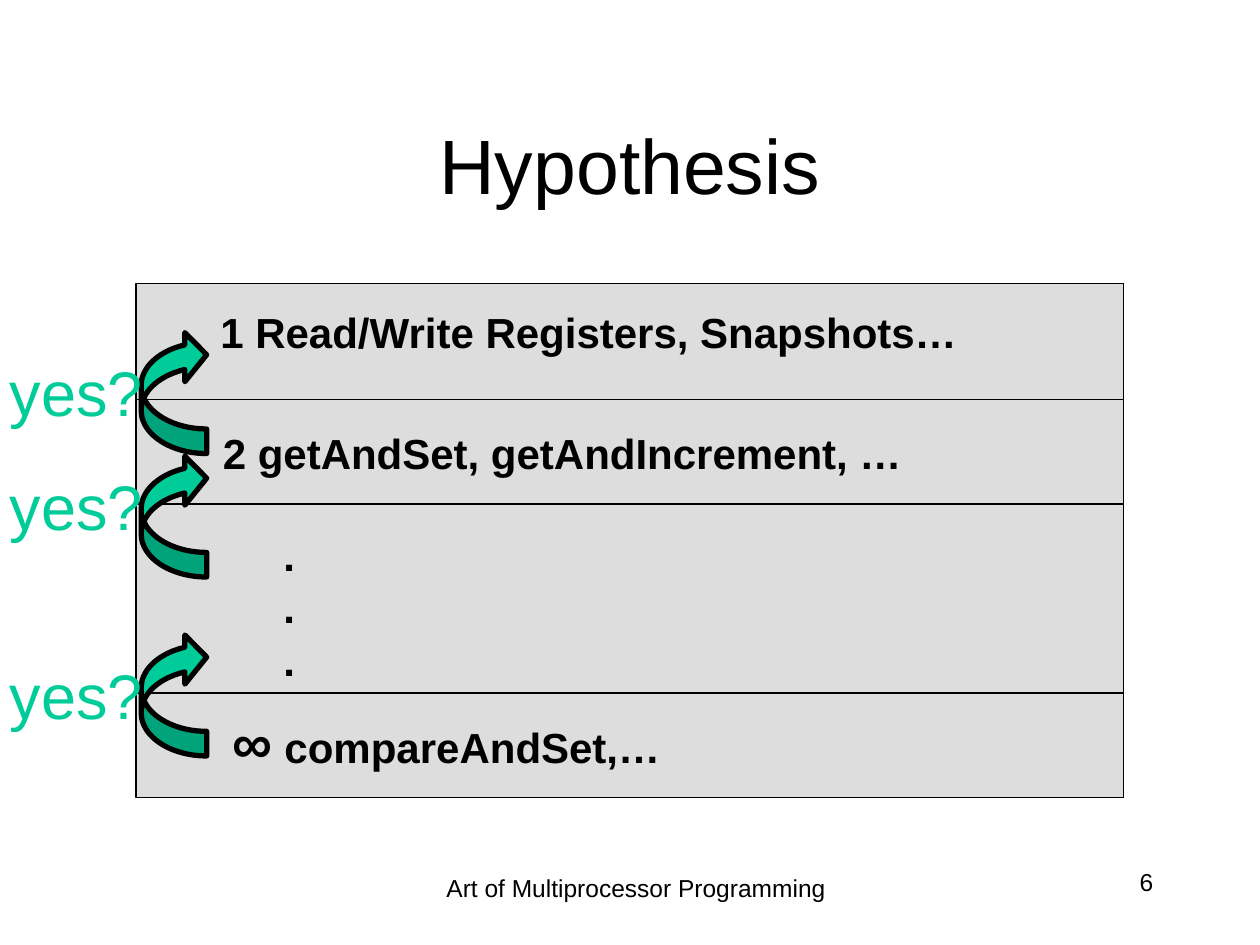
from pptx import Presentation
from pptx.dml.color import RGBColor
from pptx.enum.shapes import MSO_CONNECTOR, MSO_SHAPE
from pptx.enum.text import MSO_ANCHOR, PP_ALIGN
from pptx.oxml.ns import qn
from pptx.util import Inches, Pt
from lxml.etree import SubElement

BLACK, GRAY, GREEN = "000000", "DDDDDD", "00CC99"
LEFT, RIGHT, TOP, BOTTOM = 1.08, 8.92, 2.25, 6.33
HEADING = {"size": Pt(44)}
LEVEL = {"size": Pt(24), "bold": True}
INFINITY = {"size": Pt(32), "bold": True}
ANSWER = {"size": Pt(36)}
FOOTER = {"size": Pt(14)}


def color(value):
    return RGBColor.from_string(value)


def add_text(page, place, paragraphs, align=PP_ALIGN.LEFT, anchor=MSO_ANCHOR.TOP,
             wrap=False, fill=BLACK, line_spacing=None):
    """Add a text box; each paragraph is a list of (text, format) pairs."""
    box = page.shapes.add_textbox(*map(Inches, place))
    frame = box.text_frame
    frame.word_wrap = wrap
    frame.vertical_anchor = anchor
    for index, spans in enumerate(paragraphs):
        para = frame.paragraphs[0] if index == 0 else frame.add_paragraph()
        para.alignment = align
        para.line_spacing = line_spacing
        for text, look in spans:
            span = para.add_run()
            span.text = text
            span.font.color.rgb = color(fill)
            for name, value in {"name": "Arial", **look}.items():
                setattr(span.font, name, value)


def add_filled(page, kind, place, fill, line_width):
    shape = page.shapes.add_shape(kind, *map(Inches, place))
    shape.shadow.inherit = False
    shape.fill.solid()
    shape.fill.fore_color.rgb = color(fill)
    shape.line.color.rgb = color(BLACK)
    shape.line.width = Pt(line_width)
    return shape


def add_divider(page, y):
    line = page.shapes.add_connector(
        MSO_CONNECTOR.STRAIGHT, Inches(LEFT), Inches(y), Inches(RIGHT), Inches(y))
    line.line.color.rgb = color(BLACK)
    line.line.width = Pt(0.75)
    SubElement(line._element.spPr, qn("a:effectLst"))


def add_step_up(page, arrow_top, answer_top):
    """Add an arrow curving up to the level above, with its answer."""
    arrow = add_filled(page, MSO_SHAPE.CURVED_RIGHT_ARROW,
                       (1.12, arrow_top, 0.52, 0.98), GREEN, 3)
    for index, value in enumerate((0.376, 0.751, 0.333)):
        arrow.adjustments[index] = value
    arrow._element.spPr.find(qn("a:xfrm")).set("flipV", "1")
    add_text(page, (-0.03, answer_top, 1.27, 0.71), [[("yes?", ANSWER)]],
             align=PP_ALIGN.CENTER, fill=GREEN)


def main():
    deck = Presentation()
    deck.slide_width, deck.slide_height = Inches(10), Inches(7.5)
    page = deck.slides.add_slide(deck.slide_layouts[6])

    add_text(page, (0.75, 0.67, 8.5, 1.25), [[("Hypothesis", HEADING)]],
             align=PP_ALIGN.CENTER, anchor=MSO_ANCHOR.MIDDLE, wrap=True)
    add_filled(page, MSO_SHAPE.RECTANGLE,
               (LEFT, TOP, RIGHT - LEFT, BOTTOM - TOP), GRAY, 0.75)
    for y in (3.17, 4, 5.5):
        add_divider(page, y)

    add_text(page, (1.65, 2.38, 6.21, 0.5),
             [[("1 Read/Write Registers, Snapshots…", LEVEL)]])
    add_text(page, (1.67, 3.34, 5.84, 0.5),
             [[("2 getAndSet, getAndIncrement, …", LEVEL)]])
    add_text(page, (1.75, 5.57, 3.63, 0.64),
             [[("∞", INFINITY), (" compareAndSet,…", LEVEL)]])
    add_text(page, (2.15, 4.13, 0.29, 1.31), [[(".", LEVEL)]] * 3, line_spacing=1.05)

    for arrow_top, answer_top in ((2.62, 2.76), (3.6, 3.66), (5.02, 5.16)):
        add_step_up(page, arrow_top, answer_top)

    add_text(page, (7.17, 6.83, 2.08, 0.5), [[("6", FOOTER)]],
             align=PP_ALIGN.RIGHT, wrap=True)
    add_text(page, (3.23, 6.88, 3.64, 0.5),
             [[("Art of Multiprocessor Programming", FOOTER)]],
             align=PP_ALIGN.CENTER, wrap=True)
    deck.save("out.pptx")


if __name__ == "__main__":
    main()
